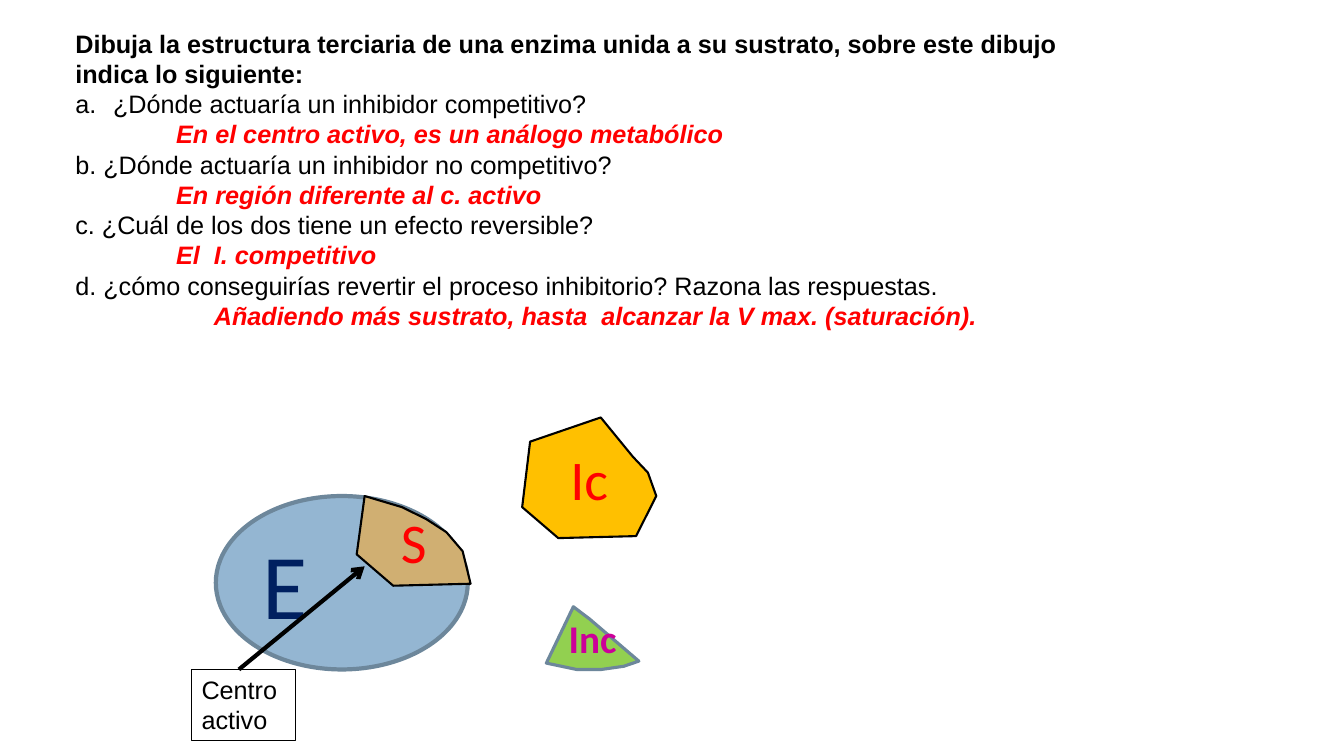
from dataclasses import dataclass

from lxml.etree import SubElement
from pptx import Presentation
from pptx.dml.color import RGBColor
from pptx.enum.shapes import MSO_CONNECTOR as Link, MSO_SHAPE as Form
from pptx.enum.text import MSO_ANCHOR as Anchor, MSO_AUTO_SIZE as Fit, PP_ALIGN as Align
from pptx.oxml.ns import qn
from pptx.util import Cm, Pt

BLACK, RED, SLATE = "000000", "FF0000", "6D879B"


@dataclass
class Font:
    size: float
    color: str = BLACK
    face: str = "Arial"
    bold: bool = False
    slant: bool = False


@dataclass
class Line:
    text: str
    font: Font
    left: float = 0
    mark: str = ""


@dataclass
class Piece:
    text: str
    font: Font
    fill: str
    edge: str
    width: float
    dots: list[tuple[float, float]]


def paint(color: str) -> RGBColor:
    return RGBColor.from_string(color)


def write(para, text: str, font: Font) -> None:
    run = para.add_run()
    run.text = text
    style = run.font
    style.name, style.size = font.face, Pt(font.size)
    style.bold, style.italic = font.bold, font.slant
    style.color.rgb = paint(font.color)


def fill_box(frame, lines: list[Line]) -> None:
    for i, line in enumerate(lines):
        para = frame.add_paragraph() if i else frame.paragraphs[0]
        props = para._p.get_or_add_pPr()
        if line.left:
            props.set("marL", str(Cm(line.left)))
        if line.mark:
            props.set("indent", str(-Cm(line.left)))
            SubElement(props, qn("a:buFont"), typeface=line.font.face)
            SubElement(props, qn("a:buAutoNum"), type=line.mark)
        write(para, line.text, line.font)


def dress(shape, fill: str, edge: str, width: float, text: str, font: Font, align: Align) -> None:
    shape.shadow.inherit = False
    shape.fill.solid()
    shape.fill.fore_color.rgb = paint(fill)
    shape.line.color.rgb = paint(edge)
    shape.line.width = Pt(width)
    frame = shape.text_frame
    frame.word_wrap = True
    frame.vertical_anchor = Anchor.MIDDLE
    para = frame.paragraphs[0]
    para.alignment = align
    write(para, text, font)


def draw_piece(shapes, piece: Piece) -> None:
    dots = [(Cm(x), Cm(y)) for x, y in piece.dots]
    pen = shapes.build_freeform(*dots[0])
    pen.add_line_segments(dots[1:], close=True)
    dress(pen.convert_to_shape(), piece.fill, piece.edge, piece.width,
          piece.text, piece.font, Align.CENTER)


ASK = Font(18)
REPLY = Font(18, RED, bold=True, slant=True)
TAB, STEP = 2.54, 0.95

QUIZ = [
    Line("Dibuja la estructura terciaria de una enzima unida a su sustrato, "
         "sobre este dibujo indica lo siguiente:", Font(18, bold=True)),
    Line("¿Dónde actuaría un inhibidor competitivo?", ASK, STEP, "alphaLcPeriod"),
    Line("En el centro activo, es un análogo metabólico", REPLY, TAB),
    Line("b. ¿Dónde actuaría un inhibidor no competitivo?", ASK),
    Line("En región diferente al c. activo", REPLY, TAB),
    Line("c. ¿Cuál de los dos tiene un efecto reversible?", ASK),
    Line("El  I. competitivo", REPLY, TAB),
    Line("d. ¿cómo conseguirías revertir el proceso inhibitorio? Razona las respuestas.", ASK),
    Line("Añadiendo más sustrato, hasta  alcanzar la V max. (saturación).", REPLY, TAB + STEP),
]

PIECES = [
    Piece("S", Font(40, RED, "Calibri"), "D0AF72", BLACK, 1.5,
          [(9.19, 12.5), (10.13, 12.78), (10.74, 13.08), (11.25, 13.41),
           (11.66, 13.89), (11.86, 14.71), (9.91, 14.76), (8.99, 13.97)]),
    Piece("Ic", Font(40, RED, "Calibri"), "FFC000", BLACK, 1.5,
          [(13.36, 11.13), (15.14, 10.52), (15.95, 11.51), (16.33, 11.91),
           (16.54, 12.5), (16.03, 13.51), (14.07, 13.56), (13.16, 12.78)]),
    Piece("Inc", Font(28, "CC0099", "Calibri", bold=True), "92D050", SLATE, 2.25,
          [(13.77, 16.71), (14.53, 16.87), (15.16, 16.87), (15.72, 16.79),
           (16.1, 16.66), (14.86, 15.6), (14.45, 15.29)]),
]


def main() -> None:
    deck = Presentation()
    deck.slide_width, deck.slide_height = Cm(33.87), Cm(19.05)
    shapes = deck.slides.add_slide(deck.slide_layouts[6]).shapes

    # Questions and answers
    quiz = shapes.add_textbox(Cm(1.65), Cm(0.58), Cm(26.59), Cm(7.95)).text_frame
    quiz.word_wrap = True
    quiz.auto_size = Fit.SHAPE_TO_FIT_TEXT
    fill_box(quiz, QUIZ)

    # Enzyme, substrate and inhibitors
    enzyme = shapes.add_shape(Form.OVAL, Cm(5.44), Cm(12.5), Cm(6.35), Cm(4.37))
    dress(enzyme, "94B6D2", SLATE, 3, "E", Font(66, "002060", "Calibri"), Align.LEFT)
    for piece in PIECES:
        draw_piece(shapes, piece)

    # Arrow to the active site
    arrow = shapes.add_connector(Link.STRAIGHT, Cm(6.02), Cm(16.87), Cm(9.19), Cm(14.27))
    arrow.line.color.rgb = paint(BLACK)
    arrow.line.width = Pt(3)
    SubElement(arrow.line._get_or_add_ln(), qn("a:tailEnd"), type="arrow")
    SubElement(arrow._element.spPr, qn("a:effectLst"))

    # Label of the active site
    label = shapes.add_textbox(Cm(4.83), Cm(16.87), Cm(2.62), Cm(1.8))
    label.line.color.rgb = paint(BLACK)
    label.line.width = Pt(0.75)
    label.text_frame.word_wrap = False
    label.text_frame.auto_size = Fit.SHAPE_TO_FIT_TEXT
    fill_box(label.text_frame, [Line("Centro", ASK), Line("activo", ASK)])

    deck.save("out.pptx")


if __name__ == "__main__":
    main()
